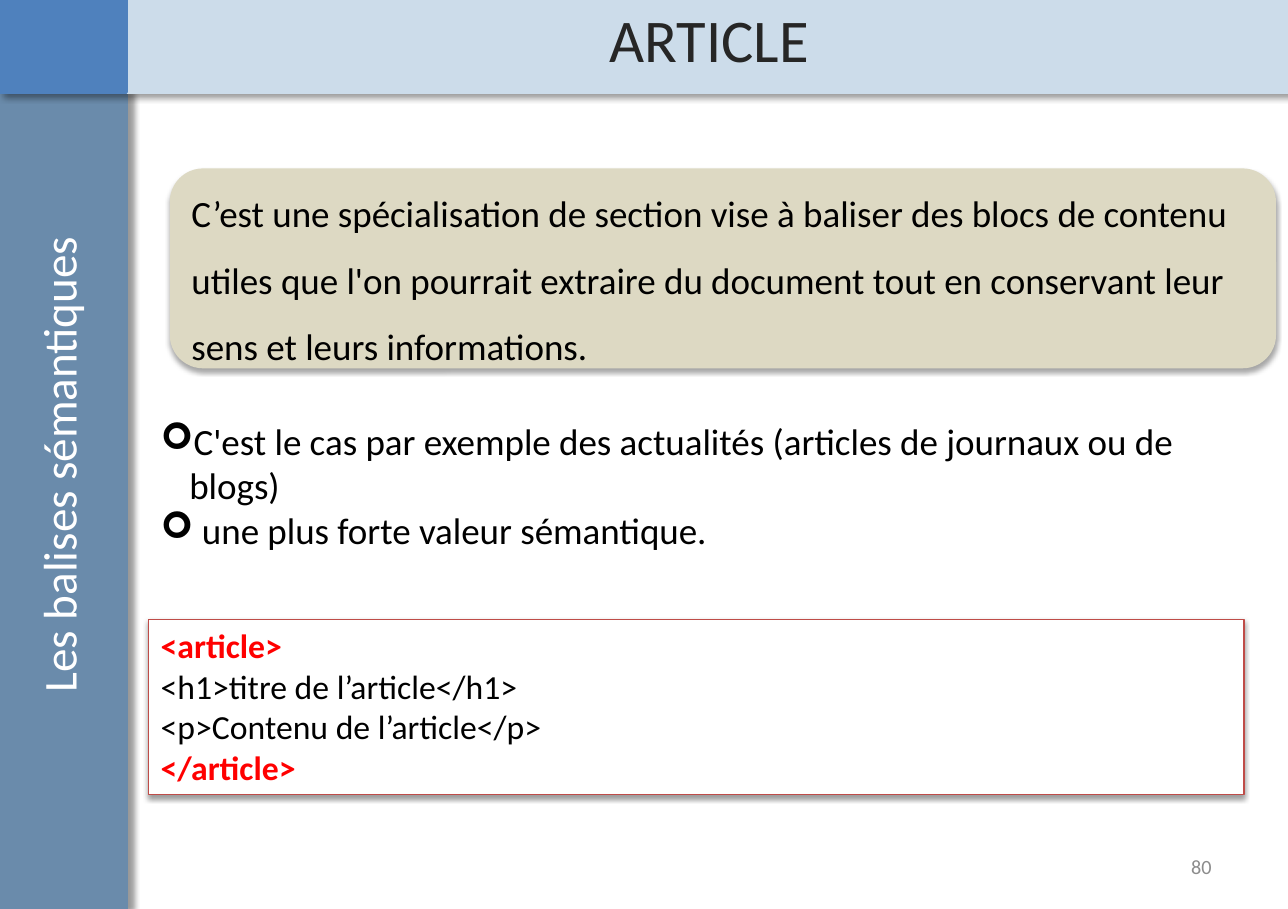
"""Build the ARTICLE slide on semantic tags."""
from lxml import etree
from pptx import Presentation
from pptx import util as u
from pptx.dml.color import RGBColor
from pptx.enum import shapes, text
from pptx.oxml import ns

BLACK = RGBColor(0x00, 0x00, 0x00)
WHITE = RGBColor(0xFF, 0xFF, 0xFF)
GREY = RGBColor(0x8C, 0x8C, 0x8C)
DARK = RGBColor(0x26, 0x26, 0x26)
RED = RGBColor(0xFF, 0x00, 0x00)
STEEL = RGBColor(0x6A, 0x8B, 0xAB)
PALE = RGBColor(0xCC, 0xDC, 0xEA)
BLUE = RGBColor(0x4F, 0x81, 0xBD)
SAND = RGBColor(0xDD, 0xD9, 0xC3)
BRICK = RGBColor(0xBF, 0x4C, 0x48)
RECT = shapes.MSO_SHAPE.RECTANGLE
ROUND = shapes.MSO_SHAPE.ROUNDED_RECTANGLE
LEFT, CENTER, RIGHT = text.PP_ALIGN.LEFT, text.PP_ALIGN.CENTER, text.PP_ALIGN.RIGHT
TOP, MIDDLE = text.MSO_ANCHOR.TOP, text.MSO_ANCHOR.MIDDLE


def add_block(s, kind, box, fill, line, width, shadow):
    sp = s.shapes.add_shape(kind, *map(u.Cm, box))
    sp.shadow.inherit = False
    sp.fill.solid()
    sp.fill.fore_color.rgb = fill
    if line is None:
        sp.line.fill.background()
    else:
        sp.line.color.rgb = line
        sp.line.width = u.Pt(width)
    if shadow:
        alpha, blur, dist, angle = shadow
        effects = sp._element.spPr.find(ns.qn("a:effectLst"))
        outer = etree.SubElement(effects, ns.qn("a:outerShdw"), blurRad=str(u.Pt(blur)),
                                 dist=str(u.Pt(dist)), dir=str(angle * 60000), rotWithShape="0")
        clr = etree.SubElement(outer, ns.qn("a:srgbClr"), val=str(BLACK))
        etree.SubElement(clr, ns.qn("a:alpha"), val=str(alpha * 1000))
    return sp


def write(sp, lines, size, align=LEFT, anchor=TOP, spacing=None, bullet=None):
    tf = sp.text_frame
    tf.word_wrap = True
    tf.vertical_anchor = anchor
    for i, (words, color, bold) in enumerate(lines):
        p = tf.add_paragraph() if i else tf.paragraphs[0]
        p.alignment = align
        if spacing:
            p.line_spacing = spacing
        if bullet:
            pPr = p._p.get_or_add_pPr()
            pPr.set("marL", str(u.Cm(0.6)))
            pPr.set("indent", str(u.Cm(-0.6)))
            etree.SubElement(pPr, ns.qn("a:buFont"), typeface="Wingdings")
            etree.SubElement(pPr, ns.qn("a:buChar"), char=bullet)
        r = p.add_run()
        r.text = words
        r.font.name = "Calibri"
        r.font.size = u.Pt(size)
        r.font.bold = bold
        r.font.color.rgb = color


prs = Presentation()
prs.slide_width, prs.slide_height = u.Cm(27), u.Cm(19.05)
s = prs.slides.add_slide(prs.slide_layouts[6])

sp = s.shapes.add_textbox(u.Cm(19.35), u.Cm(17.65), u.Cm(6.3), u.Cm(1.02))
write(sp, [("80", GREY, False)], 12, RIGHT, MIDDLE)

add_block(s, RECT, (0, 1.93, 2.65, 17.12), STEEL, STEEL, 2, (40, 4, 3, 0))
add_block(s, RECT, (0, 0, 27, 1.93), PALE, PALE, 2, (40, 4, 3, 45))
add_block(s, RECT, (0, 0, 2.65, 1.93), BLUE, BLUE, 2, None)

sp = s.shapes.add_textbox(u.Cm(3.07), u.Cm(0.15), u.Cm(23.6), u.Cm(1.6))
write(sp, [("ARTICLE", DARK, False)], 36, CENTER, MIDDLE, 0.8)

sp = s.shapes.add_textbox(u.Cm(-5.69), u.Cm(8.92), u.Cm(14), u.Cm(1.63))
sp.rotation = 270
write(sp, [("Les balises sémantiques", WHITE, False)], 28, CENTER)

sp = add_block(s, ROUND, (3.56, 3.53, 23.19, 4.19), SAND, None, 0, (35, 3.1, 1.8, 90))
definition = ("C’est une spécialisation de section vise à baliser des blocs de contenu utiles "
              "que l'on pourrait extraire du document tout en conservant leur sens et leurs "
              "informations.")
write(sp, [(definition, BLACK, False)], 22, anchor=MIDDLE, spacing=1.5)

sp = add_block(s, RECT, (3.12, 12.98, 22.96, 3.68), WHITE, BRICK, 0.75, (38, 3.1, 1.6, 90))
write(sp, [("<article>", RED, True),
           ("<h1>titre de l’article</h1>", BLACK, False),
           ("<p>Contenu de l’article</p>", BLACK, False),
           ("</article>", RED, True)], 20)

sp = s.shapes.add_textbox(u.Cm(3.12), u.Cm(8.64), u.Cm(23.19), u.Cm(4.01))
write(sp, [("C'est le cas par exemple des actualités (articles de journaux ou de blogs)", BLACK, False),
           (" une plus forte valeur sémantique.", BLACK, False)], 22, bullet="➢")

prs.save("out.pptx")
